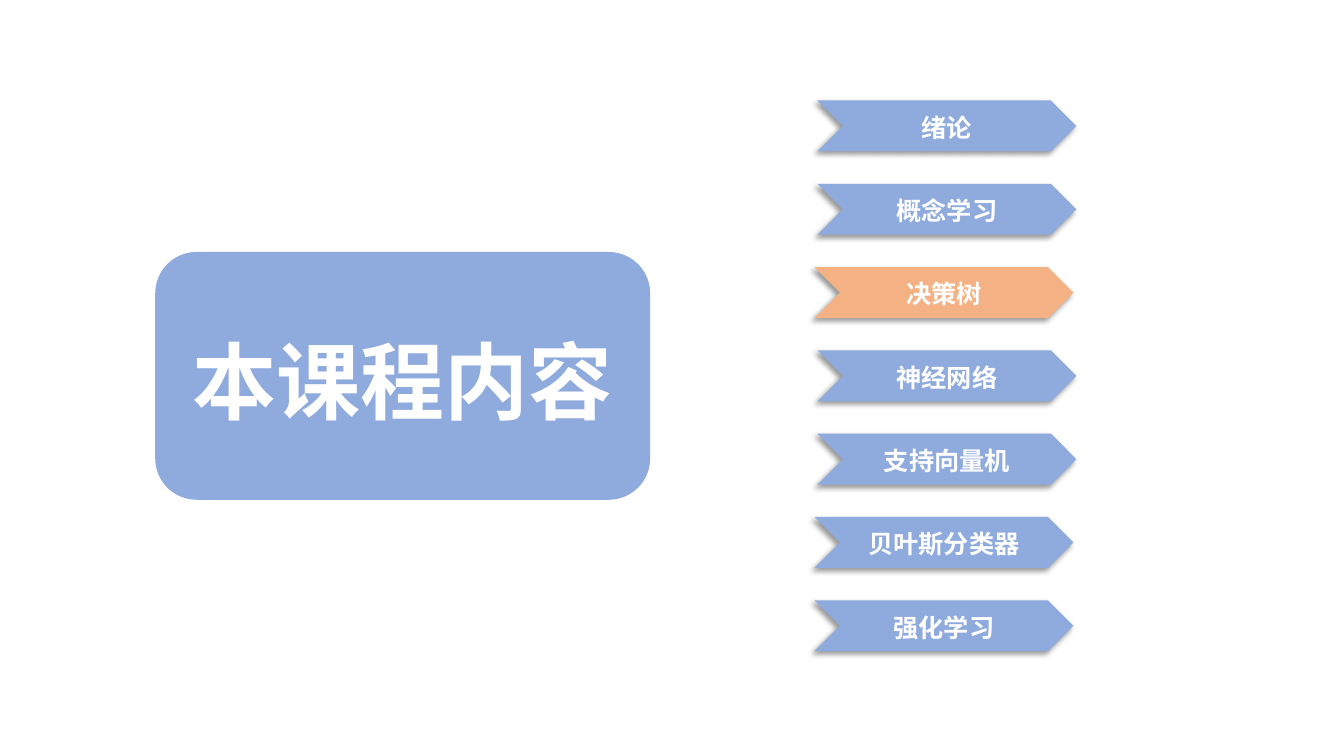
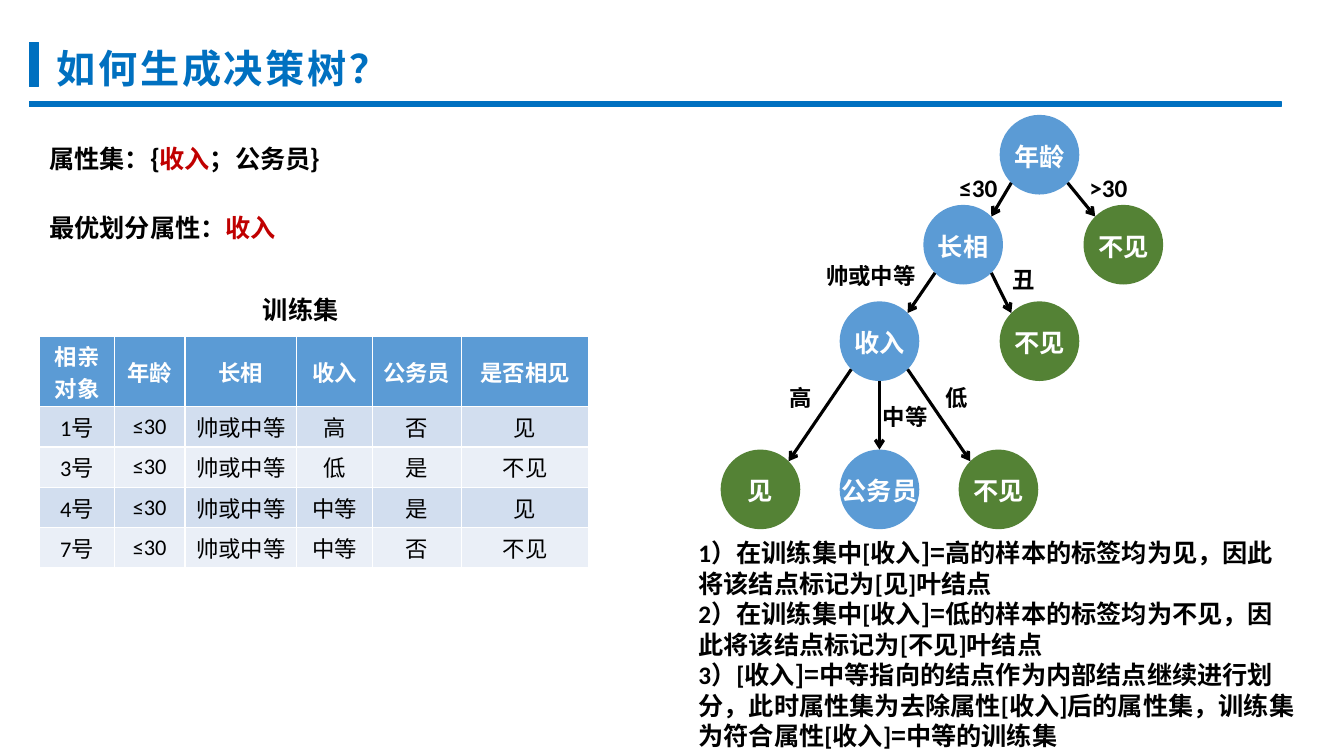
from dataclasses import dataclass
from math import copysign, sqrt
from typing import NamedTuple

from lxml.etree import SubElement
from pptx import Presentation
from pptx.dml.color import RGBColor as RGB
from pptx.enum.shapes import MSO_CONNECTOR as CONN, MSO_SHAPE as SHAPE
from pptx.enum.text import MSO_ANCHOR as ANCHOR, PP_ALIGN as ALIGN
from pptx.oxml.ns import qn
from pptx.util import Pt


@dataclass(frozen=True)
class Theme:
    latin: str = "Calibri"
    cjk: str = "Noto Sans CJK SC"
    white: str = "FFFFFF"
    black: str = "000000"
    accent: str = "0070C0"
    red: str = "C00000"
    soft_blue: str = "8FAADC"
    orange: str = "F4B183"
    blue: str = "5B9BD5"
    green: str = "548235"
    band_dark: str = "D2DEEF"
    band_light: str = "EAEFF7"
    hero: int = 60
    title: int = 28
    body: int = 18
    small: int = 16


T = Theme()


class Box(NamedTuple):
    x: float
    y: float
    w: float
    h: float


class Span(NamedTuple):
    text: str
    color: str = T.black
    font: str = T.latin


class Chapter(NamedTuple):
    text: str
    x: float
    fill: str = T.soft_blue


class Node(NamedTuple):
    text: str
    x: float
    y: float
    fill: str = T.blue


class Edge(NamedTuple):
    start: str
    end: str


class Label(NamedTuple):
    text: str
    x: float
    y: float
    size: int = T.small


# Text helpers
def add_run(p, text: str, *, size: float = T.body, color: str = T.black,
            bold: bool = True, font: str = T.latin, spacing: float = 0) -> None:
    r = p.add_run()
    r.text = text
    r.font.size, r.font.bold = Pt(size), bold
    r.font.color.rgb = RGB.from_string(color)
    r.font.name = font
    props = r.font._element
    SubElement(props, qn("a:ea")).set("typeface", T.cjk)
    if spacing:
        props.set("spc", str(int(spacing * 100)))


def add_text(slide, box: Box, paragraphs: list[list[Span]], *, size: float = T.body,
             wrap: bool = False, leading: float = 1.3, spacing: float = 0) -> None:
    sp = slide.shapes.add_textbox(*map(Pt, box))
    tf = sp.text_frame
    tf.word_wrap = wrap
    for i, spans in enumerate(paragraphs):
        p = tf.add_paragraph() if i else tf.paragraphs[0]
        p.line_spacing = Pt(leading * size)
        for span in spans:
            add_run(p, span.text, size=size, color=span.color, font=span.font,
                    spacing=spacing)


# Shape helpers
def add_shape(slide, kind: SHAPE, box: Box, fill: str, *, text: str = "",
              size: float = T.body, line: str = ""):
    sp = slide.shapes.add_shape(kind, *map(Pt, box))
    sp.shadow.inherit = False
    sp.fill.solid()
    sp.fill.fore_color.rgb = RGB.from_string(fill)
    if line:
        sp.line.color.rgb = RGB.from_string(line)
        sp.line.width = Pt(1)
    else:
        sp.line.fill.background()
    if text:
        tf = sp.text_frame
        tf.word_wrap = False
        tf.vertical_anchor = ANCHOR.MIDDLE
        tf.margin_left = tf.margin_right = tf.margin_top = tf.margin_bottom = 0
        p = tf.paragraphs[0]
        p.alignment = ALIGN.CENTER
        p.line_spacing = Pt(1.3 * size)
        add_run(p, text, size=size, color=T.white)
    return sp


def cast_shadow(sp) -> None:
    effects = sp._element.spPr.find(qn("a:effectLst"))
    shadow = SubElement(effects, qn("a:outerShdw"), blurRad=str(Pt(4)), dist=str(Pt(3)),
                        dir=str(135 * 60000), algn="tr", rotWithShape="0")
    color = SubElement(shadow, qn("a:srgbClr"), val=T.black)
    SubElement(color, qn("a:alpha"), val="40000")


def add_arrow(slide, x1: float, y1: float, x2: float, y2: float) -> None:
    cx = slide.shapes.add_connector(CONN.STRAIGHT, *map(Pt, (x1, y1, x2, y2)))
    cx.line.color.rgb = RGB.from_string(T.black)
    cx.line.width = Pt(2.25)
    SubElement(cx.line._get_or_add_ln(), qn("a:tailEnd"), type="arrow")
    SubElement(cx._element.spPr, qn("a:effectLst"))


def add_title(slide, text: str) -> None:
    for box in (Box(20.9, 30.2, 6.5, 31.7), Box(20.9, 72.7, 894.2, 3.6)):
        add_shape(slide, SHAPE.RECTANGLE, box, T.accent, line=T.accent)
    add_text(slide, Box(33.1, 25.2, 256, 41), [[Span(text, T.accent, T.cjk)]],
             size=T.title, spacing=2)


# Slide 1: course contents
CHAPTERS = [
    Chapter("绪论", 583.9),
    Chapter("概念学习", 583.9),
    Chapter("决策树", 581.8, T.orange),
    Chapter("神经网络", 583.9),
    Chapter("支持向量机", 583.9),
    Chapter("贝叶斯分类器", 581.8),
    Chapter("强化学习", 581.8),
]


def build_contents(slide) -> None:
    add_shape(slide, SHAPE.FLOWCHART_ALTERNATE_PROCESS, Box(110.9, 180, 353.5, 177),
              T.soft_blue, text="本课程内容", size=T.hero)
    top, pitch = 71.8, 59.5
    for i, chapter in enumerate(CHAPTERS):
        box = Box(chapter.x, top + i * pitch, 185, 36.4)
        cast_shadow(add_shape(slide, SHAPE.CHEVRON, box, chapter.fill, text=chapter.text))


# Slide 2: growing the decision tree
DIAMETER = 56.9
NODES = {
    "age": Node("年龄", 742.5, 110.5),
    "looks": Node("长相", 688, 174.8),
    "age_no": Node("不见", 802.4, 174.8, T.green),
    "income": Node("收入", 628.2, 243.7),
    "looks_no": Node("不见", 742.5, 243.7, T.green),
    "income_yes": Node("见", 543.2, 349.6, T.green),
    "official": Node("公务员", 628.2, 349.6),
    "income_no": Node("不见", 713.2, 349.6, T.green),
}
EDGES = [
    Edge("age", "looks"), Edge("age", "age_no"),
    Edge("looks", "income"), Edge("looks", "looks_no"),
    Edge("income", "income_yes"), Edge("income", "official"), Edge("income", "income_no"),
]
LABELS = [
    Label("≤30", 678.2, 117.4, T.body), Label(">30", 771.1, 117.4, T.body),
    Label("帅或中等", 583.2, 182.2), Label("丑", 716.4, 185),
    Label("高", 556.6, 269.3), Label("中等", 623.5, 283), Label("低", 668.2, 269.3),
]
COLUMNS = [53.3, 50.4, 79.9, 54, 63.4, 91.4]
ROWS = [
    ["相亲对象", "年龄", "长相", "收入", "公务员", "是否相见"],
    ["1号", "≤30", "帅或中等", "高", "否", "见"],
    ["3号", "≤30", "帅或中等", "低", "是", "不见"],
    ["4号", "≤30", "帅或中等", "中等", "是", "见"],
    ["7号", "≤30", "帅或中等", "中等", "否", "不见"],
]
NOTES = [
    [Span("1）在训练集中[收入"), Span("]=高", font=T.cjk),
     Span("的样本的标签均为见，因此将该结点标记为[见]叶结点")],
    [Span("2）在训练集中[收入"), Span("]=低", font=T.cjk),
     Span("的样本的标签均为不见，因此将该结点标记为[不见]叶结点")],
    [Span("3）[收入"), Span("]=中等", font=T.cjk),
     Span("指向的结点作为内部结点继续进行划分，此时属性集为去除属性[收入]后的属性集，"
          "训练集为符合属性[收入]"),
     Span("=中等", font=T.cjk), Span("的训练集")],
]


def add_training_table(slide) -> None:
    head_h, row_h = 50.4, 28.8
    box = Box(28.4, 240.1, sum(COLUMNS), head_h + row_h * (len(ROWS) - 1))
    table = slide.shapes.add_table(len(ROWS), len(COLUMNS), *map(Pt, box)).table
    table.horz_banding = False
    for col, width in zip(table.columns, COLUMNS):
        col.width = Pt(width)
    for i, values in enumerate(ROWS):
        head = i == 0
        table.rows[i].height = Pt(head_h if head else row_h)
        fill = T.blue if head else (T.band_dark if i % 2 else T.band_light)
        for j, value in enumerate(values):
            cell = table.cell(i, j)
            cell.fill.solid()
            cell.fill.fore_color.rgb = RGB.from_string(fill)
            cell.vertical_anchor = ANCHOR.MIDDLE
            cell.margin_left = cell.margin_right = Pt(5)
            cell.margin_top = cell.margin_bottom = 0
            p = cell.text_frame.paragraphs[0]
            p.alignment = ALIGN.CENTER
            add_run(p, value, size=T.small, bold=head, color=T.white if head else T.black)


def add_tree(slide) -> None:
    radius = DIAMETER / 2
    for node in NODES.values():
        box = Box(node.x - radius, node.y - radius, DIAMETER, DIAMETER)
        add_shape(slide, SHAPE.OVAL, box, node.fill, text=node.text)
    # Slanted edges join the diagonal points of the circles
    for edge in EDGES:
        a, b = NODES[edge.start], NODES[edge.end]
        slanted = a.x != b.x
        dx = copysign(radius / sqrt(2), b.x - a.x) if slanted else 0
        dy = radius / sqrt(2) if slanted else radius
        add_arrow(slide, a.x + dx, a.y + dy, b.x - dx, b.y - dy)
    for label in LABELS:
        width = 14.4 + label.size * (1.7 if "30" in label.text else len(label.text))
        add_text(slide, Box(label.x, label.y, width, 28), [[Span(label.text)]],
                 size=label.size)


def build_tree_slide(slide) -> None:
    add_title(slide, "如何生成决策树？")
    add_text(slide, Box(28.1, 97.2, 270, 29),
             [[Span("属性集：{", font=T.cjk), Span("收入", T.red, T.cjk),
               Span("；公务员}", font=T.cjk)]], wrap=True)
    add_text(slide, Box(28.1, 146.2, 185, 29),
             [[Span("最优划分属性："), Span("收入", T.red, T.cjk)]], wrap=True)
    add_text(slide, Box(180.7, 205.2, 72, 29), [[Span("训练集")]])
    add_training_table(slide)
    add_tree(slide)
    add_text(slide, Box(491.8, 380.2, 440.6, 159.8), NOTES, wrap=True, leading=1.21)


def main() -> None:
    prs = Presentation()
    prs.slide_width, prs.slide_height = Pt(960), Pt(540)
    for build in (build_contents, build_tree_slide):
        build(prs.slides.add_slide(prs.slide_layouts[6]))
    prs.save("out.pptx")


if __name__ == "__main__":
    main()
